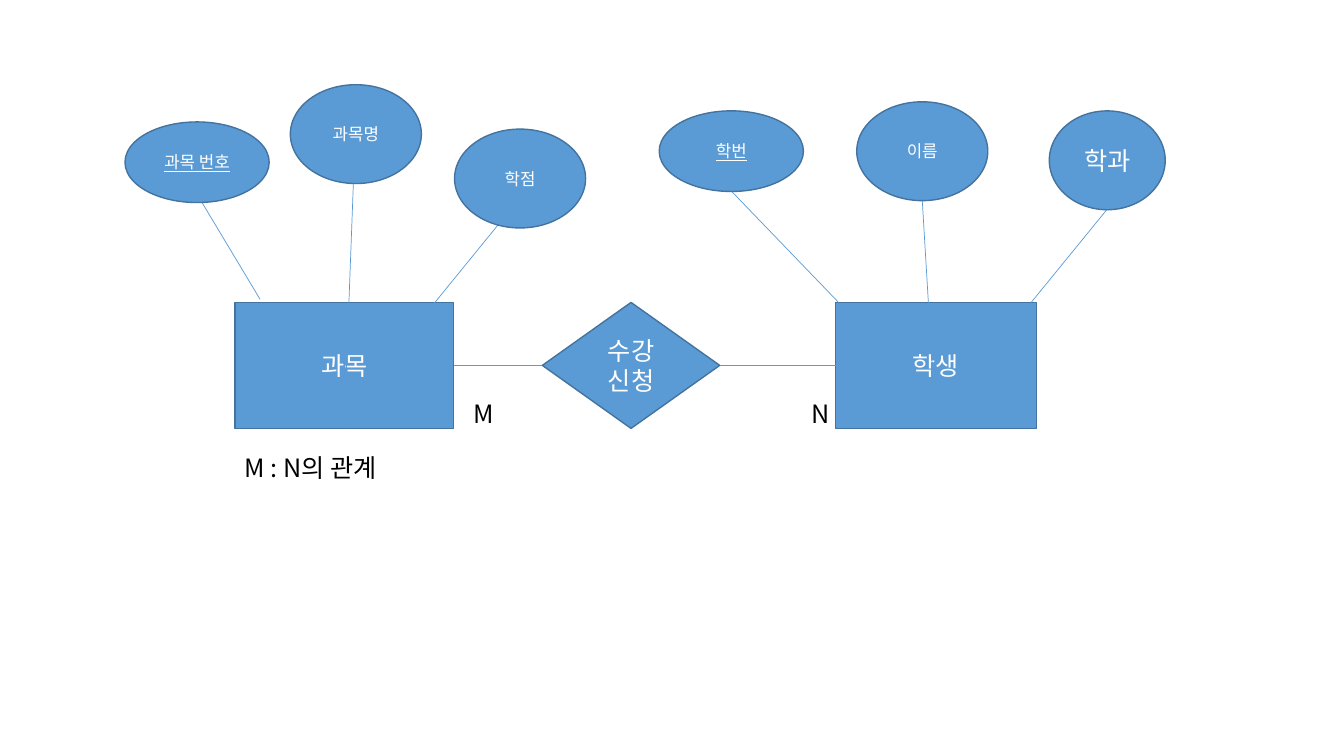
from pptx import Presentation
from pptx.dml.color import RGBColor
from pptx.enum.shapes import MSO_CONNECTOR as Connector, MSO_SHAPE as Shape
from pptx.enum.text import MSO_ANCHOR as Anchor, MSO_AUTO_SIZE as AutoSize, PP_ALIGN as Align
from pptx.oxml.ns import qn
from pptx.util import Pt

COLORS = {"fill": "5B9BD5", "outline": "43739E", "light": "FFFFFF", "dark": "000000"}
FONT = "Noto Sans CJK KR"
ENTITY_TOP, ENTITY_HEIGHT = 216, 90
ATTRIBUTES = [
    ("과목 번호", (89.3, 87.1, 103, 57.6), 12, True),
    ("과목명", (207.4, 60.5, 93.6, 70.6), 12, False),
    ("학점", (324.7, 92.2, 93.6, 70.6), 12, False),
    ("학번", (470.9, 79.2, 103, 57.6), 12, True),
    ("이름", (612, 72.7, 93.6, 70.6), 12, False),
    ("학과", (749.5, 79.2, 82.8, 70.6), 18, False),
]
LABELS = [
    ("M", (338.4, 284.4, 11.5, 21.6), 0),
    ("N", (579.6, 284.4, 11.5, 21.6), 0),
    ("M : N의 관계", (167.8, 319.7, 133.2, 28.8), None),
]


def color(name):
    return RGBColor.from_string(COLORS[name])


def write(box, text, color_name, size=18, underline=None, align=None):
    para = box.text_frame.paragraphs[0]
    para.alignment = align
    span = para.add_run()
    span.text = text
    formats = {"name": FONT, "size": Pt(size), "underline": underline}
    for key, value in formats.items():
        setattr(span.font, key, value)
    span.font.color.rgb = color(color_name)
    east_asian = span.font._element.makeelement(qn("a:ea"), {"typeface": FONT})
    span.font._element.append(east_asian)


def add_node(page, kind, text, bounds, size=18, underline=None):
    node = page.shapes.add_shape(kind, *map(Pt, bounds))
    node.shadow.inherit = False
    node.fill.solid()
    node.fill.fore_color.rgb = color("fill")
    node.line.color.rgb = color("outline")
    node.line.width = Pt(1)
    node.text_frame.word_wrap = True
    node.text_frame.vertical_anchor = Anchor.MIDDLE
    write(node, text, "light", size, underline, Align.CENTER)
    return node


def add_line(page, start=(0, 0), end=(0, 0), begin_at=None, end_at=None):
    line = page.shapes.add_connector(Connector.STRAIGHT, *map(Pt, start + end))
    if begin_at:
        line.begin_connect(*begin_at)
    if end_at:
        line.end_connect(*end_at)
    line.line.color.rgb = color("fill")
    line.line.width = Pt(0.5)
    properties = line._element.spPr
    properties.append(properties.makeelement(qn("a:effectLst"), {}))


def add_label(page, text, bounds, inset):
    box = page.shapes.add_textbox(*map(Pt, bounds))
    frame = box.text_frame
    frame.word_wrap = True
    frame.auto_size = AutoSize.SHAPE_TO_FIT_TEXT
    if inset is not None:
        for side in ("left", "top", "right", "bottom"):
            setattr(frame, f"margin_{side}", Pt(inset))
    write(box, text, "dark")


def main():
    """Build the entity-relationship slide of subjects and students."""
    deck = Presentation()
    deck.slide_width, deck.slide_height = Pt(960), Pt(540)
    page = deck.slides.add_slide(deck.slide_layouts[6])

    subject, enrolment, student = [
        add_node(page, kind, text, (left, ENTITY_TOP, width, ENTITY_HEIGHT))
        for kind, text, left, width in (
            (Shape.RECTANGLE, "과목", 167.8, 156.2),
            (Shape.DIAMOND, "수강신청", 387.4, 126.7),
            (Shape.RECTANGLE, "학생", 596.9, 143.3),
        )
    ]
    add_line(page, begin_at=(subject, 3), end_at=(enrolment, 1))
    add_line(page, begin_at=(enrolment, 3), end_at=(student, 1))

    add_line(page, (142.6, 141.8), (185.8, 213.8))
    add_line(page, (252.7, 123.8), end_at=(subject, 2))
    add_line(page, (362.9, 151.9), (308.9, 218.2))
    add_line(page, (522.7, 136.8), (599, 216))
    add_line(page, (658.8, 143.3), end_at=(student, 2))
    add_line(page, (790.6, 149.8), (736.6, 216))

    for text, bounds, size, is_key in ATTRIBUTES:
        add_node(page, Shape.OVAL, text, bounds, size, is_key or None)
    for text, bounds, inset in LABELS:
        add_label(page, text, bounds, inset)
    deck.save("out.pptx")


if __name__ == "__main__":
    main()
